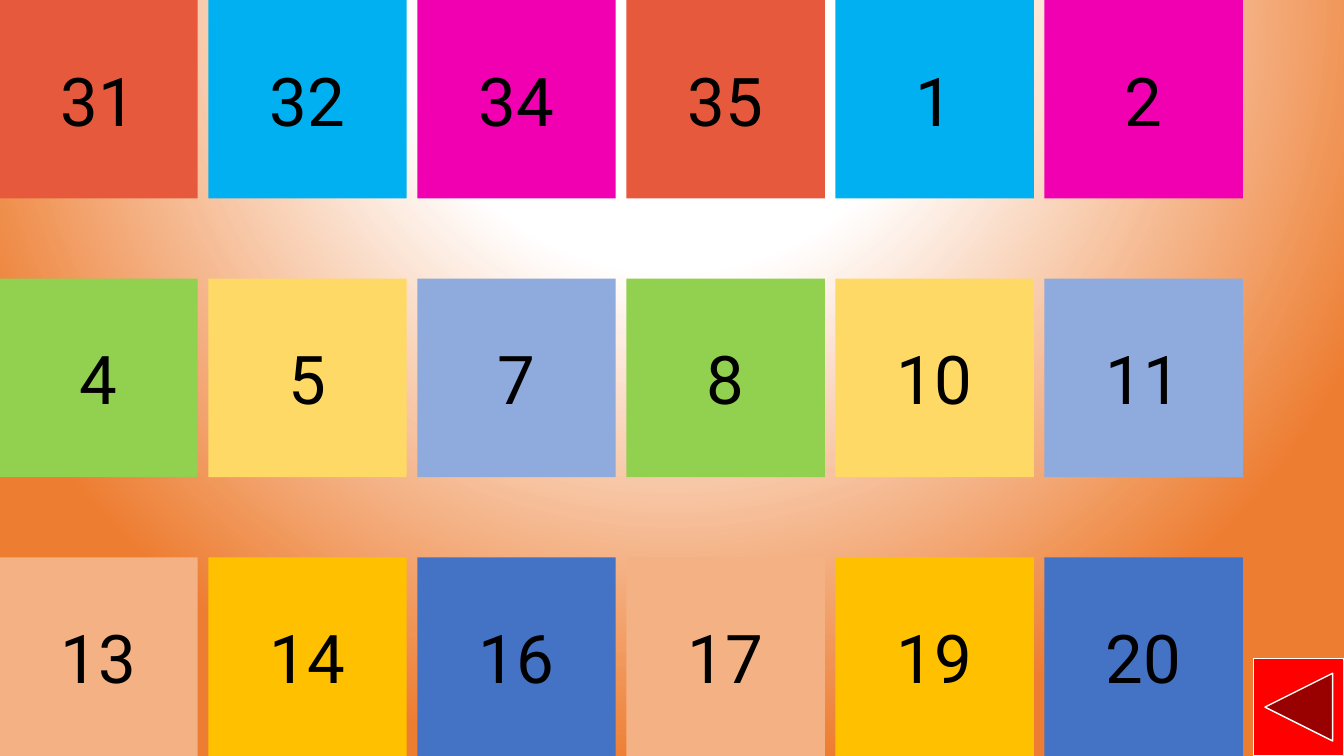
from dataclasses import dataclass

from pptx import Presentation
from pptx.dml.color import RGBColor
from pptx.enum.shapes import MSO_SHAPE
from pptx.enum.text import MSO_ANCHOR, PP_ALIGN
from pptx.oxml import parse_xml
from pptx.oxml.ns import nsdecls, qn
from pptx.util import Pt


@dataclass(frozen=True)
class Theme:
    font: str = "Roboto"
    number_size: int = 48
    number_color: str = "000000"
    glow: str = "FFFFFF"
    backdrop: str = "ED7D31"
    button: str = "FF0000"
    button_line: str = "FFFFFF"
    # Each row repeats its three colours across the columns.
    row_colors: tuple = (
        ("E7593D", "00B0F0", "F000B1"),
        ("92D050", "FFD966", "8FAADC"),
        ("F4B183", "FFC000", "4472C4"),
    )


THEME = Theme()
NUMBERS = (
    (31, 32, 34, 35, 1, 2),
    (4, 5, 7, 8, 10, 11),
    (13, 14, 16, 17, 19, 20),
)
SLIDE_WIDTH, SLIDE_HEIGHT = 960, 540
TILE_SIDE = 141.8
FIRST_LEFT = -0.5
COLUMN_STEP = 149.3
ROW_STEP = (SLIDE_HEIGHT - TILE_SIDE) / 2


def paint_background(slide):
    """Spread a circular glow from above the slide's centre."""
    slide.background.fill.gradient()
    gradient = next(slide.element.iter(qn("a:gradFill")))
    stops = ((0, THEME.glow), (35, THEME.glow), (100, THEME.backdrop))
    stop_xml = "".join(
        f'<a:gs pos="{percent * 1000}"><a:srgbClr val="{color}"/></a:gs>'
        for percent, color in stops
    )
    glow = parse_xml(
        f'<a:gradFill {nsdecls("a")} rotWithShape="1"><a:gsLst>{stop_xml}</a:gsLst>'
        '<a:path path="circle">'
        '<a:fillToRect l="50000" t="-80000" r="50000" b="180000"/>'
        "</a:path></a:gradFill>"
    )
    gradient.getparent().replace(gradient, glow)


def add_filled_shape(slide, preset, left, top, width, height, color):
    shape = slide.shapes.add_shape(preset, Pt(left), Pt(top), Pt(width), Pt(height))
    shape.shadow.inherit = False
    shape.fill.solid()
    shape.fill.fore_color.rgb = RGBColor.from_string(color)
    return shape


def add_number_tile(slide, number, left, top, color):
    tile = add_filled_shape(
        slide, MSO_SHAPE.RECTANGLE, left, top, TILE_SIDE, TILE_SIDE, color
    )
    tile.line.fill.background()
    tile.text_frame.vertical_anchor = MSO_ANCHOR.MIDDLE
    label = tile.text_frame.paragraphs[0]
    label.text = str(number)
    label.alignment = PP_ALIGN.CENTER
    font = label.runs[0].font
    for attribute, value in {"name": THEME.font, "size": Pt(THEME.number_size)}.items():
        setattr(font, attribute, value)
    font.color.rgb = RGBColor.from_string(THEME.number_color)


def add_back_button(slide):
    width, height = 64.5, 69.8
    button = add_filled_shape(
        slide,
        MSO_SHAPE.ACTION_BUTTON_BACK_OR_PREVIOUS,
        SLIDE_WIDTH - width,
        SLIDE_HEIGHT - height,
        width,
        height,
        THEME.button,
    )
    button.line.color.rgb = RGBColor.from_string(THEME.button_line)
    button.line.width = Pt(1)


def main():
    deck = Presentation()
    deck.slide_width, deck.slide_height = Pt(SLIDE_WIDTH), Pt(SLIDE_HEIGHT)
    slide = deck.slides.add_slide(deck.slide_layouts.get_by_name("Blank"))
    paint_background(slide)
    for row, (numbers, colors) in enumerate(zip(NUMBERS, THEME.row_colors)):
        for column, number in enumerate(numbers):
            add_number_tile(
                slide,
                number,
                FIRST_LEFT + column * COLUMN_STEP,
                row * ROW_STEP,
                colors[column % len(colors)],
            )
    add_back_button(slide)
    deck.save("out.pptx")


if __name__ == "__main__":
    main()
